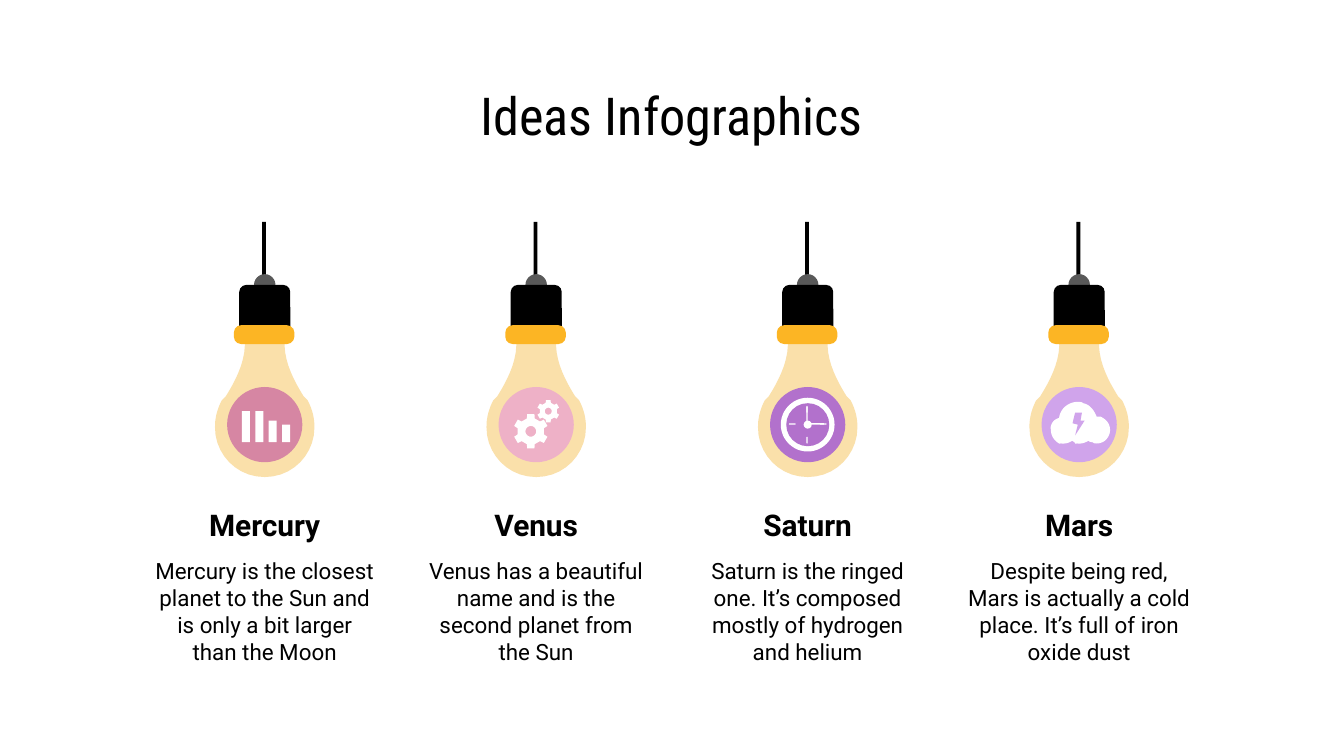
from math import cos, radians, sin

from pptx import Presentation
from pptx import util as u
from pptx.dml.color import RGBColor
from pptx.enum import shapes, text

BLACK = RGBColor(0x00, 0x00, 0x00)
WHITE = RGBColor(0xFF, 0xFF, 0xFF)
GREY = RGBColor(0x59, 0x59, 0x59)
AMBER = RGBColor(0xFC, 0xB5, 0x24)
GLASS = RGBColor(0xFA, 0xE0, 0xAA)
ROSE = RGBColor(0xD6, 0x86, 0xA3)
PINK = RGBColor(0xEE, 0xB1, 0xC7)
PURPLE = RGBColor(0xB2, 0x71, 0xCC)
LILAC = RGBColor(0xD0, 0xA4, 0xEB)

RECTANGLE = shapes.MSO_SHAPE.RECTANGLE
ROUNDED = shapes.MSO_SHAPE.ROUNDED_RECTANGLE
OVAL = shapes.MSO_SHAPE.OVAL

# Grid: four equal columns, given by the centre line of each bulb
FIRST_CENTER, COLUMN = 1.97, 2.02
ICON_Y = 3.16
STEPS = 10

PLANETS = [
    ("Mercury", ROSE, "Mercury is the closest planet to the Sun and "
                      "is only a bit larger than the Moon"),
    ("Venus", PINK, "Venus has a beautiful name and is the second planet from the Sun"),
    ("Saturn", PURPLE, "Saturn is the ringed one. It’s composed mostly of hydrogen and helium"),
    ("Mars", LILAC, "Despite being red, Mars is actually a cold place. "
                    "It’s full of iron oxide dust"),
]


def draw(group, color, center, preset=None, box=None, corner=None, contours=()):
    """Draw a preset or an outline; x is measured from the column's centre."""
    if preset is not None:
        left, top, width, height = box
        shape = group.shapes.add_shape(preset, *map(u.Inches, (center + left, top, width, height)))
        if corner is not None:
            shape.adjustments[0] = corner
    else:
        lines = [[(u.Inches(center + x), u.Inches(y)) for x, y in points] for points in contours]
        builder = group.shapes.build_freeform(*lines[0][0])
        for number, points in enumerate(lines):
            if number:
                builder.move_to(*points[0])
            builder.add_line_segments(points[1:], close=True)
        shape = builder.convert_to_shape()
    shape.shadow.inherit = False
    shape.fill.solid()
    shape.fill.fore_color.rgb = color
    shape.line.fill.background()


def curve(start, segments):
    """Points along a chain of cubic Bézier segments."""
    points = [start]
    for x1, y1, x2, y2, x3, y3 in segments:
        x0, y0 = points[-1]
        for step in range(1, STEPS + 1):
            t = step / STEPS
            a, b, c, d = (1 - t) ** 3, 3 * t * (1 - t) ** 2, 3 * t * t * (1 - t), t ** 3
            points.append((a * x0 + b * x1 + c * x2 + d * x3, a * y0 + b * y1 + c * y2 + d * y3))
    return points


presentation = Presentation()
presentation.slide_width = u.Inches(10)
presentation.slide_height = presentation.slide_width * 9 // 16
slide = presentation.slides.add_slide(presentation.slide_layouts[5])

# Bulb glass: the left half, then its mirror image
half = curve((-0.15, 2.52), [
    (-0.13, 2.69, -0.24, 2.87, -0.29, 2.95),
    (-0.30, 2.96, -0.31, 2.97, -0.32, 2.98),
    (-0.35, 3.04, -0.37, 3.10, -0.37, 3.18),
    (-0.37, 3.38, -0.21, 3.55, 0, 3.55),
])
glass = half + [(-x, y) for x, y in reversed(half[:-1])]

# Bulbs and the texts to place
title_format = {"size": u.Pt(28), "name": "Roboto Condensed", "bold": False}
name_format = {"size": u.Pt(16), "name": "Roboto", "bold": True}
body_format = {"size": u.Pt(12), "name": "Roboto", "bold": False}
texts = [(slide.shapes.title, "Ideas Infographics", (3.12, 0.59, 3.75, 0.53),
          (0.1, 0.1), title_format)]
bulbs = []
for column, (name, color, body) in enumerate(PLANETS):
    center = FIRST_CENTER + column * COLUMN
    bulb = slide.shapes.add_group_shape()
    draw(bulb, BLACK, center, RECTANGLE, (-0.02, 1.65, 0.03, 0.49))
    draw(bulb, GREY, center, OVAL, (-0.08, 2.04, 0.16, 0.16))
    draw(bulb, BLACK, center, ROUNDED, (-0.19, 2.12, 0.38, 0.40), 0.14)
    draw(bulb, GLASS, center, contours=[glass])
    draw(bulb, AMBER, center, ROUNDED, (-0.23, 2.42, 0.45, 0.14), 0.39)
    draw(bulb, color, center, OVAL, (-0.28, ICON_Y - 0.28, 0.56, 0.56))
    bulbs.append((bulb, center))
    for words, box, insets, font_format in (
        (name, (center - 0.64, 3.73, 1.28, 0.35), (0.1, 0.1), name_format),
        (body, (center - 0.83, 4.09, 1.66, 0.91), (0, 0), body_format),
    ):
        text_box = slide.shapes.add_textbox(0, 0, 0, 0)
        texts.append((text_box, words, box, insets, font_format))
chart, gears, clock, weather = bulbs

# Mercury: falling bars on one baseline
for bar, height in enumerate((0.23, 0.23, 0.16, 0.13)):
    draw(chart[0], WHITE, chart[1], RECTANGLE, (-0.17 + bar * 0.1, 3.29 - height, 0.06, height))

# Venus: two six-toothed gears, each with a round hole
for x, y, size in ((-0.04, 3.21, 1), (0.09, 3.06, 0.65)):
    teeth = [(x + size * r * sin(radians(tooth + turn)), y - size * r * cos(radians(tooth + turn)))
             for tooth in range(0, 360, 60)
             for turn, r in ((-17, 0.1), (-12, 0.13), (12, 0.13), (17, 0.1))]
    hole = [(x + size * 0.04 * cos(radians(turn)), y + size * 0.04 * sin(radians(turn)))
            for turn in range(0, 360, 15)]
    draw(gears[0], WHITE, gears[1], contours=[teeth, hole])

# Saturn: clock rim, face and hub, then marks and hands
for color, radius in ((WHITE, 0.2), (PURPLE, 0.16), (WHITE, 0.03)):
    draw(clock[0], color, clock[1], OVAL, (-radius, ICON_Y - radius, 2 * radius, 2 * radius))
for box in ((-0.01, 3.02, 0.01, 0.05), (-0.01, 3.25, 0.01, 0.05),
            (0.09, 3.15, 0.05, 0.01), (-0.14, 3.15, 0.05, 0.01)):
    draw(clock[0], WHITE, clock[1], ROUNDED, box, 0.5)
draw(clock[0], WHITE, clock[1], contours=[
    [(-0.01, 3.03), (0, 3.03), (0, 3.15), (0.12, 3.15), (0.12, 3.16), (-0.01, 3.16)]])

# Mars: cloud with a lightning bolt
cloud = curve((0.03, 3.00), [
    (0.02, 2.99, 0, 2.99, -0.01, 2.99), (-0.08, 2.99, -0.14, 3.04, -0.15, 3.11),
    (-0.19, 3.12, -0.22, 3.16, -0.21, 3.20), (-0.21, 3.25, -0.18, 3.28, -0.15, 3.30),
    (-0.13, 3.30, -0.12, 3.30, -0.11, 3.30), (-0.09, 3.30, -0.07, 3.29, -0.05, 3.28),
    (-0.04, 3.29, -0.03, 3.29, -0.03, 3.30), (-0.01, 3.30, 0, 3.30, 0.01, 3.30),
    (0.03, 3.30, 0.05, 3.29, 0.07, 3.28), (0.08, 3.29, 0.09, 3.29, 0.10, 3.29),
    (0.11, 3.30, 0.12, 3.30, 0.13, 3.30), (0.19, 3.30, 0.23, 3.25, 0.23, 3.20),
    (0.23, 3.15, 0.20, 3.12, 0.16, 3.10), (0.15, 3.10, 0.14, 3.10, 0.13, 3.10),
    (0.11, 3.05, 0.08, 3.01, 0.03, 3.00),
])
bolt = [(0.02, 3.07), (-0.03, 3.07), (-0.05, 3.15), (-0.01, 3.16),
        (-0.03, 3.24), (0.04, 3.13), (0.01, 3.13)]
for color, points in ((WHITE, cloud), (LILAC, bolt)):
    draw(weather[0], color, weather[1], contours=[points])

# Title, names and descriptions
for shape, words, box, (side, edge), font_format in texts:
    shape.left, shape.top, shape.width, shape.height = map(u.Inches, box)
    frame = shape.text_frame
    frame.text = words
    frame_format = {
        "word_wrap": True, "auto_size": text.MSO_AUTO_SIZE.NONE,
        "vertical_anchor": text.MSO_ANCHOR.MIDDLE,
        "margin_left": u.Inches(side), "margin_right": u.Inches(side),
        "margin_top": u.Inches(edge), "margin_bottom": u.Inches(edge),
    }
    for key, value in frame_format.items():
        setattr(frame, key, value)
    paragraph = frame.paragraphs[0]
    paragraph.alignment = text.PP_ALIGN.CENTER
    font = paragraph.runs[0].font
    font.color.rgb = BLACK
    for key, value in font_format.items():
        setattr(font, key, value)

presentation.save("out.pptx")
